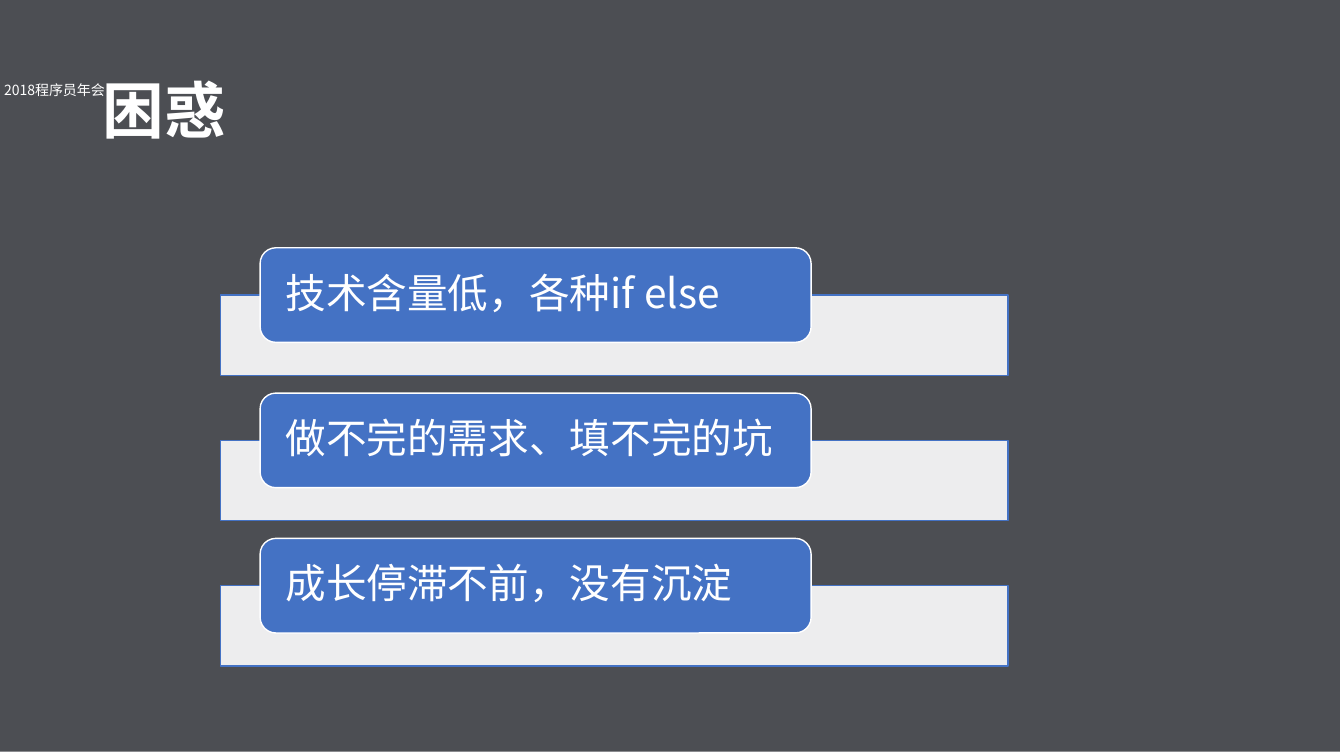
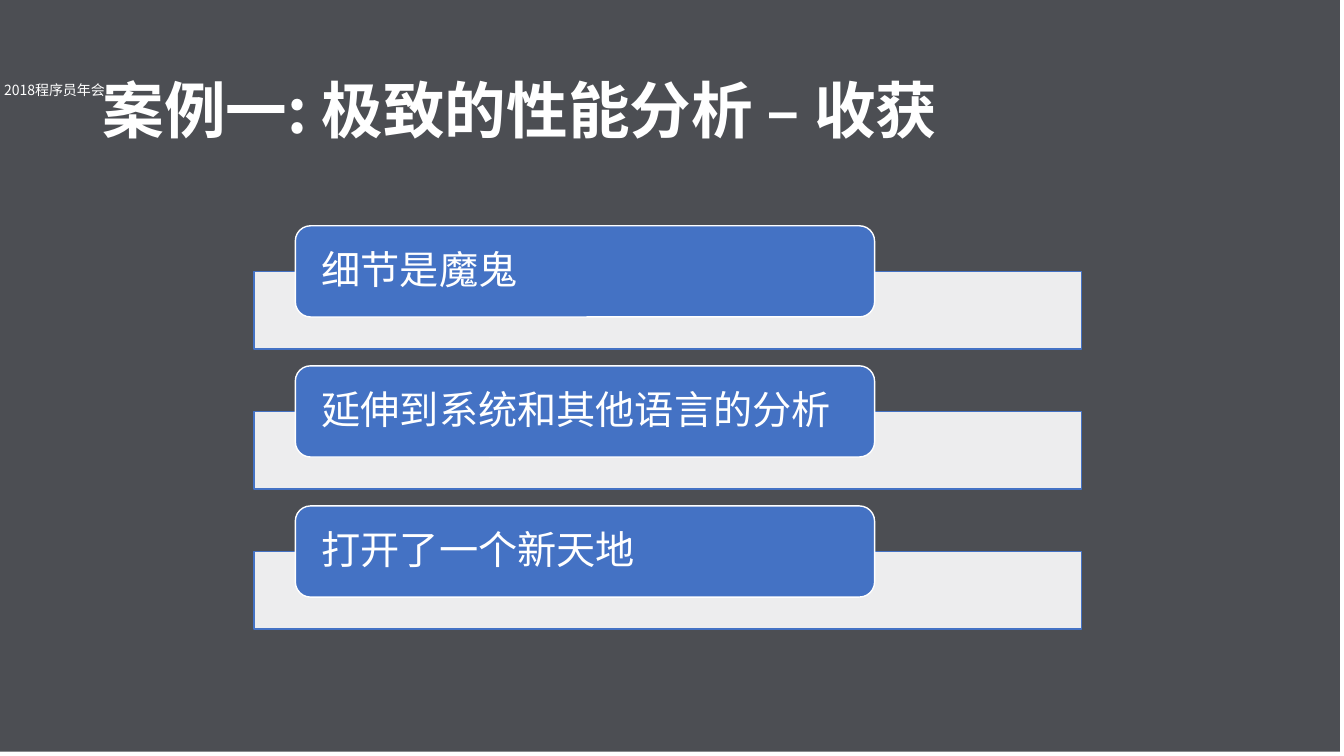
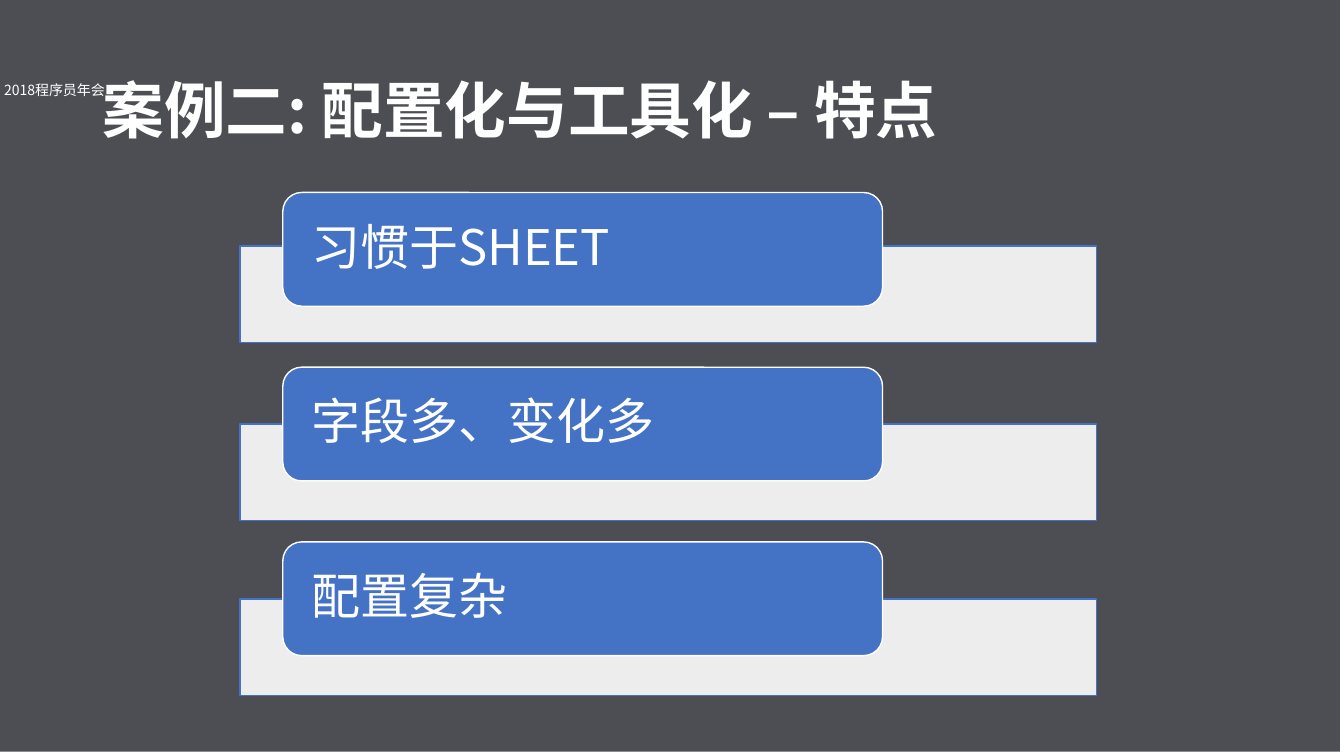
import pptx
import pptx.util
import pptx.dml.color
import pptx.enum.lang
import pptx.enum.shapes
import pptx.enum.text
import pptx.oxml.ns
import lxml.etree

Pt = pptx.util.Pt
KIND = pptx.enum.shapes.MSO_SHAPE
ALIGN = pptx.enum.text.PP_ALIGN
ANCHOR = pptx.enum.text.MSO_ANCHOR
FONT = "Noto Sans CJK SC"
HEX = {"shade": "01040B", "white": "FFFFFF", "blue": "4472C4"}

DECK = [
    ("困惑", (157.7, 177, 562.3, 298.8), 29, 0,
     ["技术含量低，各种if else", "做不完的需求、填不完的坑", "成长停滞不前，没有沉淀"]),
    ("案例一: 极致的性能分析 – 收获", (181.4, 161.3, 591.1, 288), 28, 0,
     ["细节是魔鬼", "延伸到系统和其他语言的分析", "打开了一个新天地"]),
    ("案例二: 配置化与工具化 – 特点", (171.4, 137.5, 612, 359.3), 35, 2.5,
     ["习惯于SHEET", "字段多、变化多", "配置复杂"]),
]


def tone(name):
    """Return the named colour."""
    return pptx.dml.color.RGBColor.from_string(HEX[name])


def write(shape, text, size, bold=False, align=ALIGN.LEFT, anchor=ANCHOR.MIDDLE,
          space=0.9, pad=(7.2, 3.6)):
    """Put one formatted paragraph into a shape."""
    frame = shape.text_frame
    frame.word_wrap = True
    frame.auto_size = pptx.enum.text.MSO_AUTO_SIZE.NONE
    frame.vertical_anchor = anchor
    frame.margin_left = frame.margin_right = Pt(pad[0])
    frame.margin_top = frame.margin_bottom = Pt(pad[1])
    line = frame.paragraphs[0]
    line.alignment = align
    line.line_spacing = space
    run = line.add_run()
    run.text = text
    font = run.font
    font.size = Pt(size)
    font.bold = bold
    font.color.rgb = tone("white")
    font.name = FONT
    font.language_id = pptx.enum.lang.MSO_LANGUAGE_ID.SIMPLIFIED_CHINESE
    east = lxml.etree.SubElement(run._r.get_or_add_rPr(), pptx.oxml.ns.qn("a:ea"))
    east.set("typeface", FONT)


def block(slide, kind, box, fill, edge=None, alpha=100):
    """Draw a filled shape with an optional edge and opacity in percent."""
    shape = slide.shapes.add_shape(kind, *map(Pt, box))
    shape.shadow.inherit = False
    shape.fill.solid()
    shape.fill.fore_color.rgb = tone(fill)
    if alpha < 100:
        paint = shape._element.spPr.find(".//" + pptx.oxml.ns.qn("a:srgbClr"))
        node = lxml.etree.SubElement(paint, pptx.oxml.ns.qn("a:alpha"))
        node.set("val", str(alpha * 1000))
    if edge:
        shape.line.color.rgb = tone(edge)
        shape.line.width = Pt(1)
    else:
        shape.line.fill.background()
    return shape


def base(deck, title):
    """Add a slide with the shared shade, event label and title."""
    slide = deck.slides.add_slide(deck.slide_layouts[5])
    block(slide, KIND.RECTANGLE, (-3, -3, 960, 540), "shade", alpha=70)
    label = slide.shapes.add_textbox(Pt(-5), Pt(54.7), Pt(87.8), Pt(19.4))
    write(label, "2018程序员年会", 10, align=ALIGN.CENTER, anchor=ANCHOR.TOP, space=1.0)
    head = slide.shapes.title
    head.left, head.top, head.width, head.height = map(Pt, (66.2, 28.8, 828, 104.4))
    write(head, title, 44, bold=True)
    slide.shapes._spTree.append(head._element)
    return slide


def stack(slide, box, size, lift, items):
    """Fill a box with pills over bars; lift raises the first bar."""
    left, top, wide, high = box
    pitch, drop, thick = 1.536, 0.5, 0.85
    tall = high / (pitch * (len(items) - 1) + drop + thick)
    for row, text in enumerate(items):
        y = top + row * pitch * tall
        rise = 0 if row else lift
        block(slide, KIND.RECTANGLE, (left, y + drop * tall - rise, wide, thick * tall),
              "white", "blue", 90)
        pill = block(slide, KIND.ROUNDED_RECTANGLE,
                     (left + 0.05 * wide, y, 0.7 * wide, tall), "blue", "white")
        write(pill, text, size, pad=(0.0265 * wide, 0))


def main():
    """Build and save the deck."""
    deck = pptx.Presentation()
    deck.slide_width, deck.slide_height = Pt(960), Pt(540)
    for title, box, size, lift, items in DECK:
        stack(base(deck, title), box, size, lift, items)
    deck.save("out.pptx")


if __name__ == "__main__":
    main()
